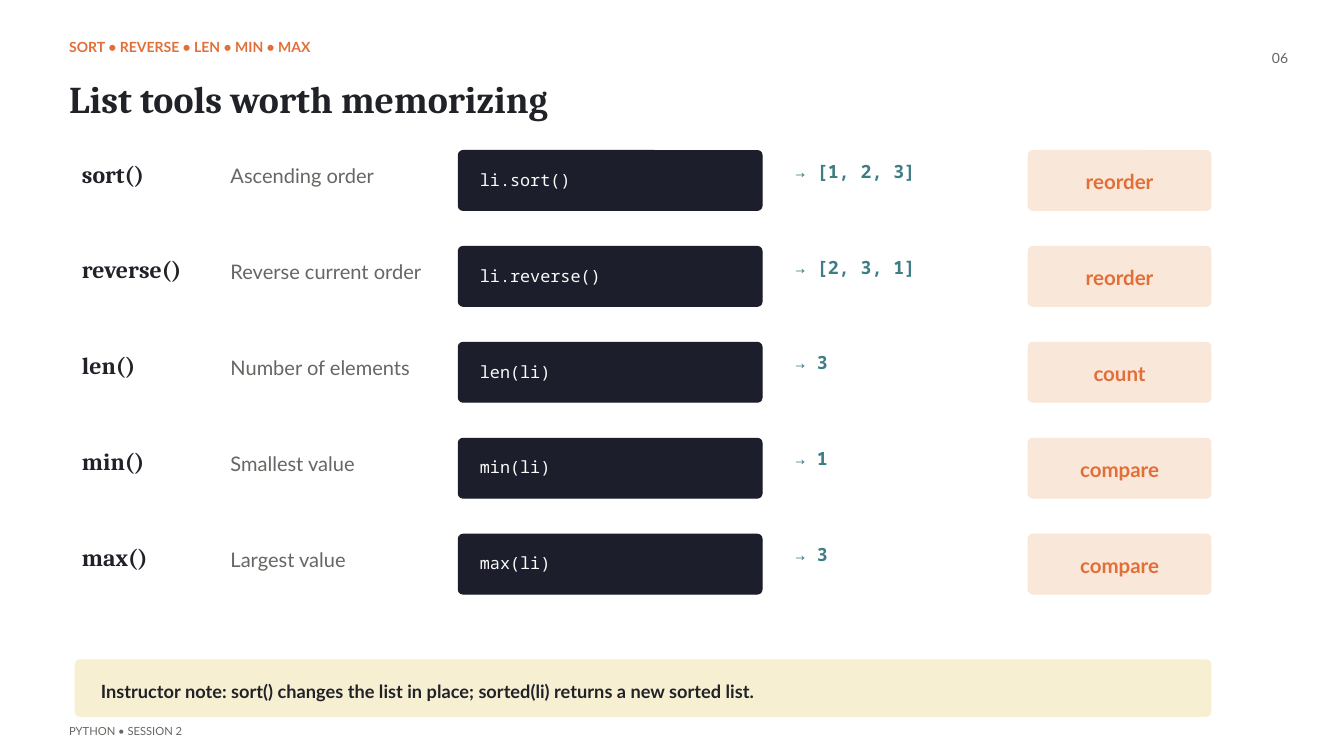
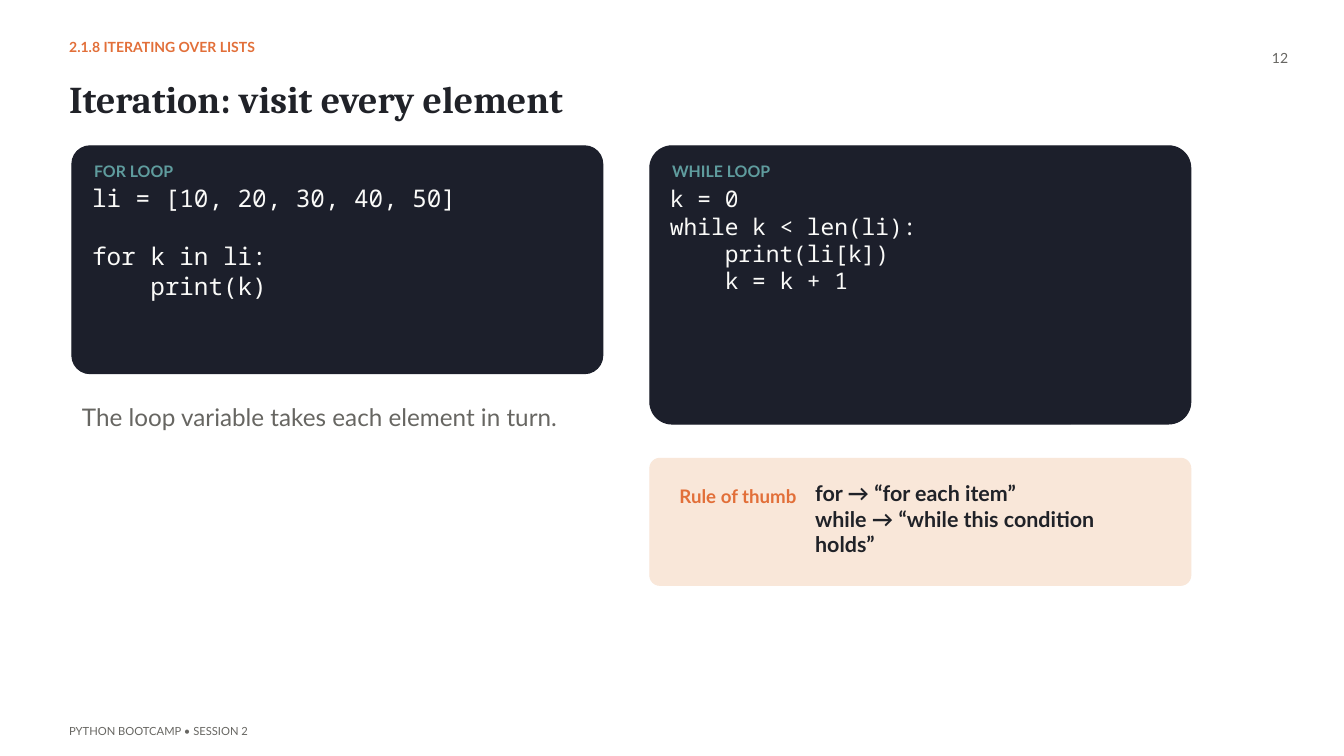
from dataclasses import dataclass

from pptx import Presentation
from pptx.dml.color import RGBColor
from pptx.enum.shapes import MSO_SHAPE
from pptx.enum.text import MSO_ANCHOR, MSO_AUTO_SIZE, PP_ALIGN
from pptx.util import Inches, Pt

ROUNDED = MSO_SHAPE.ROUNDED_RECTANGLE
TOP = MSO_ANCHOR.TOP
NO_FIT = MSO_AUTO_SIZE.NONE
LEFT, CENTER, RIGHT = PP_ALIGN.LEFT, PP_ALIGN.CENTER, PP_ALIGN.RIGHT
TITLE_ONLY = 5


@dataclass(frozen=True)
class Style:
    font: str
    size: float
    color: str
    bold: bool = False


class Theme:
    ink, gray, paper = "202228", "676662", "FAFAF8"
    orange, teal, aqua = "E26F39", "3D7D85", "5F9C9E"
    navy, peach, cream = "1C1F2B", "F9E7D9", "F7EFD2"
    serif, sans, mono = "Cambria", "Lato", "Noto Sans Mono"

    kicker = Style(sans, 15, orange, True)
    title = Style(serif, 40.5, ink, True)
    number = Style(sans, 15, gray)
    footer = Style(sans, 12, gray)
    method = Style(serif, 25.5, ink, True)
    meaning = Style(sans, 21.5, gray)
    call = Style(mono, 18, paper)
    result = Style(mono, 19.5, teal, True)
    tag = Style(sans, 22, orange, True)
    note = Style(sans, 19.5, ink, True)
    panel_label = Style(sans, 17, aqua, True)
    for_code = Style(mono, 26, paper)
    while_code = Style(mono, 24.5, paper)
    caption = Style(sans, 26, gray)
    rule_label = Style(sans, 20, orange, True)
    rule = Style(sans, 23, ink, True)


def write(s, lines, style, align=LEFT, inset=(0, 0)):
    tf = s.text_frame
    tf.word_wrap = True
    tf.auto_size = NO_FIT
    tf.vertical_anchor = TOP
    tf.margin_left = tf.margin_right = Inches(inset[0])
    tf.margin_top, tf.margin_bottom = Inches(inset[1]), 0
    gap = 0
    p = tf.paragraphs[0]
    for i, line in enumerate(lines):
        if not line:
            gap = style.size * 1.2
            continue
        if i:
            p = tf.add_paragraph()
        p.alignment = align
        p.line_spacing = Pt(style.size * 1.2)
        if gap:
            p.space_before = Pt(gap)
            gap = 0
        r = p.add_run()
        r.text = line
        r.font.name = style.font
        r.font.size = Pt(style.size)
        r.font.bold = style.bold
        r.font.color.rgb = RGBColor.from_string(style.color)


def add_text(slide, box, text, style, align=LEFT):
    s = slide.shapes.add_textbox(*map(Inches, box))
    write(s, text.split("\n"), style, align)


def add_card(slide, box, fill, radius=0.07):
    s = slide.shapes.add_shape(ROUNDED, *map(Inches, box))
    s.adjustments[0] = radius / min(box[2:])
    s.shadow.inherit = False
    s.fill.solid()
    s.fill.fore_color.rgb = RGBColor.from_string(fill)
    s.line.color.rgb = RGBColor.from_string(fill)
    s.line.width = Pt(1.13)
    return s


def add_frame(prs, kicker, title, number, footer):
    slide = prs.slides.add_slide(prs.slide_layouts[TITLE_ONLY])
    s = slide.shapes.title
    s.left, s.top, s.width, s.height = map(Inches, (1.03, 1.12, 16.71, 0.89))
    write(s, [title], Theme.title)
    add_text(slide, (1.03, 0.58, 8.61, 0.43), kicker, Theme.kicker)
    add_text(slide, (18.44, 0.73, 0.73, 0.43), number, Theme.number, RIGHT)
    add_text(slide, (1.03, 10.78, 9.66, 0.22), footer, Theme.footer)
    return slide


def add_tool_row(slide, top, method, meaning, call, result, tag):
    add_text(slide, (1.22, top + 0.13, 2.23, 0.43), method, Theme.method)
    add_text(slide, (3.43, top + 0.19, 3.35, 0.34), meaning, Theme.meaning)
    s = add_card(slide, (6.82, top, 4.52, 0.89), Theme.navy)
    write(s, [call], Theme.call, inset=(0.3, 0.26))
    add_text(slide, (11.83, top + 0.14, 3.05, 0.36), f"→ {result}", Theme.result)
    s = add_card(slide, (15.3, top, 2.72, 0.89), Theme.peach)
    write(s, [tag], Theme.tag, CENTER, (0, 0.26))


def add_code_panel(slide, box, radius, label, code, code_top, style):
    left, top, width, height = box
    add_card(slide, box, Theme.navy, radius)
    add_text(slide, (left + 0.33, top + 0.23, width - 0.66, 0.29), label,
             Theme.panel_label)
    add_text(slide, (left + 0.3, code_top, width - 0.6, 1.75), code, style)


def build_list_tools(prs):
    slide = add_frame(prs, "SORT • REVERSE • LEN • MIN • MAX",
                      "List tools worth memorizing", "06", "PYTHON • SESSION 2")
    tools = [
        ("sort()", "Ascending order", "li.sort()", "[1, 2, 3]", "reorder"),
        ("reverse()", "Reverse current order", "li.reverse()", "[2, 3, 1]", "reorder"),
        ("len()", "Number of elements", "len(li)", "3", "count"),
        ("min()", "Smallest value", "min(li)", "1", "compare"),
        ("max()", "Largest value", "max(li)", "3", "compare"),
    ]
    first, last = 2.24, 7.95
    step = (last - first) / (len(tools) - 1)
    for i, tool in enumerate(tools):
        add_tool_row(slide, first + i * step, *tool)
    s = add_card(slide, (1.12, 9.82, 16.9, 0.84), Theme.cream)
    write(s, ["Instructor note: sort() changes the list in place; "
              "sorted(li) returns a new sorted list."],
          Theme.note, inset=(0.36, 0.29))


def build_iteration(prs):
    slide = add_frame(prs, "2.1.8 ITERATING OVER LISTS",
                      "Iteration: visit every element", "12",
                      "PYTHON BOOTCAMP • SESSION 2")
    add_code_panel(slide, (1.07, 2.17, 7.9, 3.39), 0.27, "FOR LOOP",
                   "li = [10, 20, 30, 40, 50]\n\nfor k in li:\n    print(k)",
                   2.73, Theme.for_code)
    add_text(slide, (1.22, 5.98, 7.26, 0.43),
             "The loop variable takes each element in turn.", Theme.caption)
    add_code_panel(slide, (9.67, 2.17, 8.05, 4.14), 0.33, "WHILE LOOP",
                   "k = 0\nwhile k < len(li):\n    print(li[k])\n    k = k + 1",
                   2.75, Theme.while_code)
    add_card(slide, (9.67, 6.82, 8.05, 1.89), Theme.peach, 0.15)
    add_text(slide, (10.11, 7.22, 2.08, 0.34), "Rule of thumb", Theme.rule_label)
    add_text(slide, (12.13, 7.14, 5.08, 1.12),
             "for → “for each item”\nwhile → “while this condition holds”",
             Theme.rule)


def main():
    prs = Presentation()
    prs.slide_width, prs.slide_height = Inches(20), Inches(11.25)
    build_list_tools(prs)
    build_iteration(prs)
    prs.save("out.pptx")


if __name__ == "__main__":
    main()
